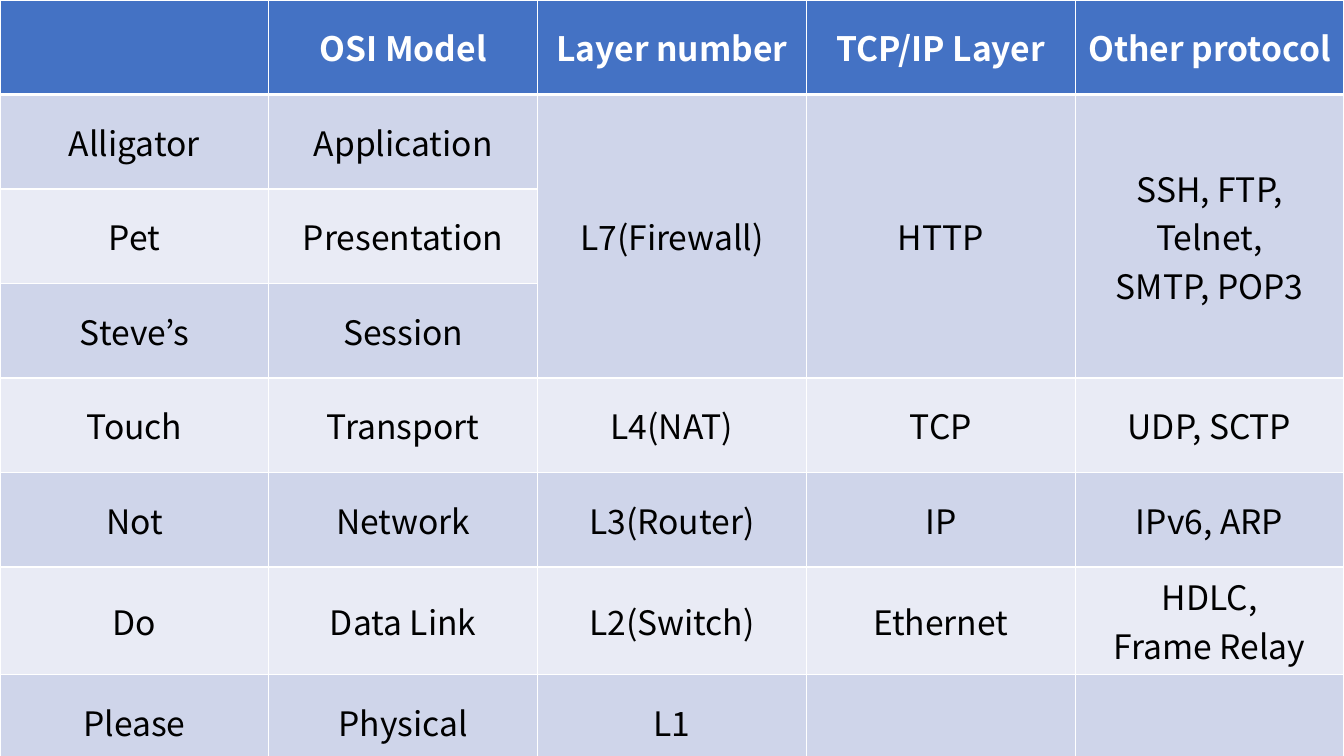
from dataclasses import dataclass

from lxml.etree import SubElement
from pptx import Presentation
from pptx.dml.color import RGBColor
from pptx.enum.text import MSO_ANCHOR, PP_ALIGN
from pptx.oxml.ns import qn
from pptx.table import _Cell
from pptx.util import Inches, Pt

WHITE = RGBColor(0xFF, 0xFF, 0xFF)
BLACK = RGBColor(0x00, 0x00, 0x00)
HEADER_BLUE = RGBColor(0x44, 0x72, 0xC4)
BAND_DARK = RGBColor(0xCF, 0xD5, 0xEA)
BAND_LIGHT = RGBColor(0xE9, 0xEB, 0xF5)
FONT = "Noto Sans CJK KR"
WIDTH = Inches(13.33)
HEIGHT = Inches(7.5)
THIN = Pt(1)
THICK = Pt(3)


@dataclass(frozen=True)
class Layer:
    mnemonic: str
    osi: str
    number: str = ""
    tcp_ip: str = ""
    other: str = ""

    def texts(self) -> tuple[str, ...]:
        return self.mnemonic, self.osi, self.number, self.tcp_ip, self.other


HEADER = Layer("", "OSI Model", "Layer number", "TCP/IP Layer", "Other protocol")
LAYERS = [
    Layer("Alligator", "Application", "L7(Firewall)", "HTTP", "SSH, FTP,\nTelnet,\nSMTP, POP3"),
    Layer("Pet", "Presentation"),
    Layer("Steve’s", "Session"),
    Layer("Touch", "Transport", "L4(NAT)", "TCP", "UDP, SCTP"),
    Layer("Not", "Network", "L3(Router)", "IP", "IPv6, ARP"),
    Layer("Do", "Data Link", "L2(Switch)", "Ethernet", "HDLC,\nFrame Relay"),
    Layer("Please", "Physical", "L1"),
]
ROWS = [HEADER, *LAYERS]
COLUMN_COUNT = len(HEADER.texts())
SHARED_COLUMNS = range(2, COLUMN_COUNT)
SHARED_FIRST, SHARED_LAST = 1, 3


def add_borders(cell: _Cell, top: int, bottom: int) -> None:
    properties = cell._tc.get_or_add_tcPr()
    for side, width in (("L", THIN), ("R", THIN), ("T", top), ("B", bottom)):
        line = SubElement(properties, qn(f"a:ln{side}"), w=str(width))
        line_fill = SubElement(line, qn("a:solidFill"))
        SubElement(line_fill, qn("a:srgbClr"), val=str(WHITE))


def fill_cell(cell: _Cell, text: str, row: int) -> None:
    is_header = row == 0
    add_borders(cell, THICK if row == 1 else THIN, THICK if is_header else THIN)
    cell.fill.solid()
    band = BAND_DARK if row % 2 else BAND_LIGHT
    cell.fill.fore_color.rgb = HEADER_BLUE if is_header else band
    cell.vertical_anchor = MSO_ANCHOR.MIDDLE
    cell.text_frame.text = text
    for paragraph in cell.text_frame.paragraphs:
        paragraph.alignment = PP_ALIGN.CENTER
        for run in paragraph.runs:
            run.font.name = FONT
            run.font.size = Pt(24)
            run.font.bold = is_header
            run.font.color.rgb = WHITE if is_header else BLACK


presentation = Presentation()
presentation.slide_width = WIDTH
presentation.slide_height = HEIGHT
slide = presentation.slides.add_slide(presentation.slide_layouts[6])
osi_table = slide.shapes.add_table(len(ROWS), COLUMN_COUNT, 0, 0, WIDTH, HEIGHT).table

for row, layer in enumerate(ROWS):
    for column, text in enumerate(layer.texts()):
        fill_cell(osi_table.cell(row, column), text, row)

for column in SHARED_COLUMNS:
    osi_table.cell(SHARED_FIRST, column).merge(osi_table.cell(SHARED_LAST, column))

presentation.save("out.pptx")
